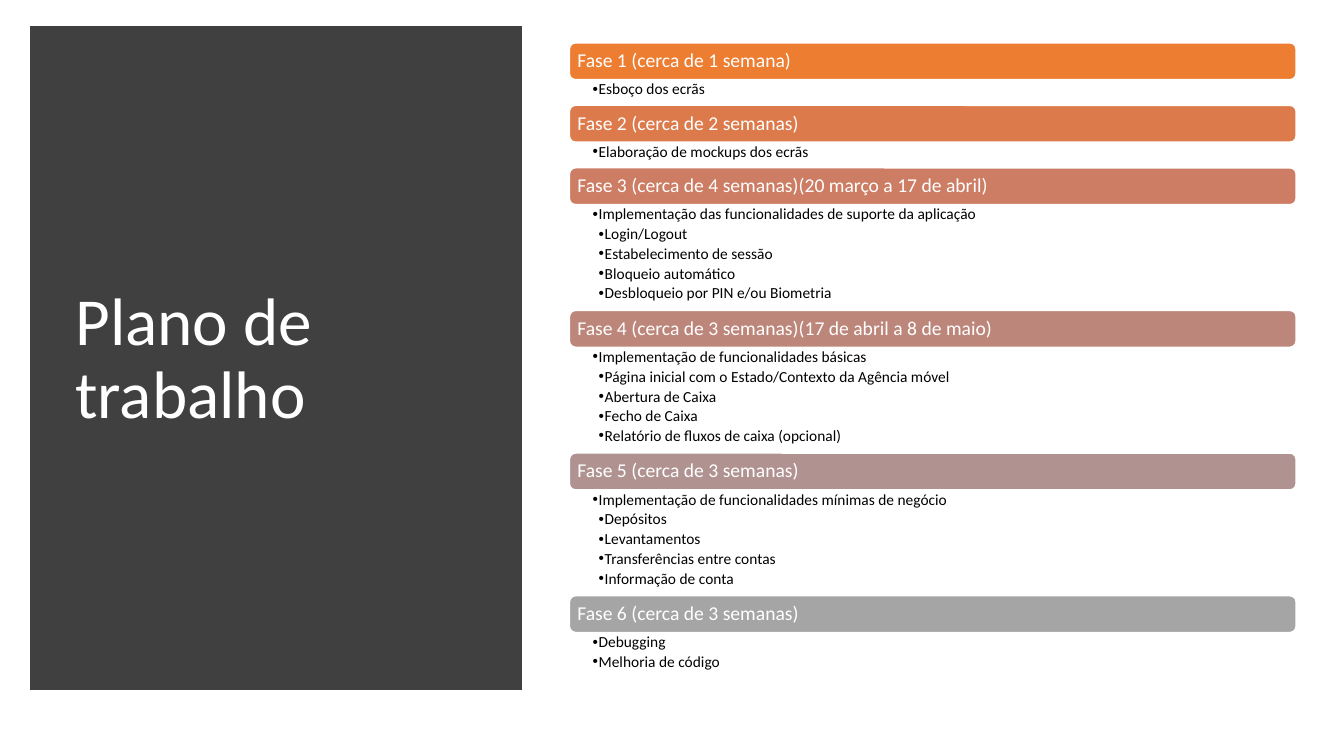
"""Build the work plan slide: a title panel beside six project phases."""
from dataclasses import dataclass

from lxml import etree
from pptx import Presentation
from pptx.dml.color import RGBColor
from pptx.enum.shapes import MSO_SHAPE
from pptx.enum.text import MSO_ANCHOR, PP_ALIGN
from pptx.oxml.ns import qn
from pptx.util import Emu, Pt

RECT, ROUND = MSO_SHAPE.RECTANGLE, MSO_SHAPE.ROUNDED_RECTANGLE
TOP, MIDDLE = MSO_ANCHOR.TOP, MSO_ANCHOR.MIDDLE
LEFT = PP_ALIGN.LEFT
FONT, DOT_FONT = "Calibri", "Arial"
WHITE = RGBColor(0xFF, 0xFF, 0xFF)
BLACK = RGBColor(0x00, 0x00, 0x00)
DARK = RGBColor(0x40, 0x40, 0x40)
PX = 4572
LIST_X, LIST_Y, LIST_W = 1130, 85, 1442
BAR_H = 73
STEP_IN = 12


@dataclass(frozen=True)
class Box:
    left: int
    top: int
    width: int
    height: int

    def emu(self) -> list[Emu]:
        return [px(n) for n in (self.left, self.top, self.width, self.height)]


@dataclass(frozen=True)
class Item:
    text: str
    level: int = 0


@dataclass(frozen=True)
class Phase:
    title: str
    color: RGBColor
    height: int
    items: list[Item]


PHASES = [
    Phase("Fase 1 (cerca de 1 semana)", RGBColor(0xED, 0x7D, 0x31), 51,
          [Item("Esboço dos ecrãs", 1)]),
    Phase("Fase 2 (cerca de 2 semanas)", RGBColor(0xDC, 0x7A, 0x4B), 51,
          [Item("Elaboração de mockups dos ecrãs", 1)]),
    Phase("Fase 3 (cerca de 4 semanas)(20 março a 17 de abril)", RGBColor(0xCC, 0x7D, 0x64), 210,
          [Item("Implementação das funcionalidades de suporte da aplicação", 1),
           Item("Login/Logout", 2),
           Item("Estabelecimento de sessão", 2),
           Item("Bloqueio automático", 2),
           Item("Desbloqueio por PIN e/ou Biometria", 2)]),
    Phase("Fase 4 (cerca de 3 semanas)(17 de abril a 8 de maio)", RGBColor(0xBD, 0x86, 0x7B), 210,
          [Item("Implementação de funcionalidades básicas", 1),
           Item("Página inicial com o Estado/Contexto da Agência móvel", 2),
           Item("Abertura de Caixa", 2),
           Item("Fecho de Caixa", 2),
           Item("Relatório de fluxos de caixa (opcional)", 2)]),
    Phase("Fase 5 (cerca de 3 semanas)", RGBColor(0xB0, 0x93, 0x91), 210,
          [Item("Implementação de funcionalidades mínimas de negócio", 1),
           Item("Depósitos", 2),
           Item("Levantamentos", 2),
           Item("Transferências entre contas", 2),
           Item("Informação de conta", 2)]),
    Phase("Fase 6 (cerca de 3 semanas)", RGBColor(0xA5, 0xA5, 0xA5), 82,
          [Item("Debugging", 1),
           Item("Melhoria de código", 1)]),
]


def px(count: int) -> Emu:
    return Emu(count * PX)


def add_dot(para, level: int) -> None:
    para.level = level
    props = para._p.get_or_add_pPr()
    props.set("marL", str(px(STEP_IN * level)))
    props.set("indent", str(px(-STEP_IN)))
    etree.SubElement(props, qn("a:buFont")).set("typeface", DOT_FONT)
    etree.SubElement(props, qn("a:buChar")).set("char", "•")


def write(shape, items: list[Item], *, size: int, color: RGBColor = WHITE,
          anchor: MSO_ANCHOR = MIDDLE, pad: tuple[int, int, int, int] = (12, 12, 12, 12),
          after: float = 0) -> None:
    frame = shape.text_frame
    frame.word_wrap = True
    frame.vertical_anchor = anchor
    (frame.margin_left, frame.margin_top,
     frame.margin_right, frame.margin_bottom) = map(px, pad)
    for index, item in enumerate(items):
        para = frame.add_paragraph() if index else frame.paragraphs[0]
        para.alignment = LEFT
        para.line_spacing = 0.9
        para.space_after = Pt(after)
        run = para.add_run()
        run.text = item.text
        run.font.name, run.font.size = FONT, Pt(size)
        run.font.color.rgb = color
        if item.level:
            add_dot(para, item.level)


def add_block(slide, kind: MSO_SHAPE, box: Box, fill: RGBColor, line: RGBColor, weight: int):
    shape = slide.shapes.add_shape(kind, *box.emu())
    shape.shadow.inherit = False
    shape.fill.solid()
    shape.fill.fore_color.rgb = fill
    shape.line.color.rgb = line
    shape.line.width = Pt(weight)
    etree.SubElement(shape.line._get_or_add_ln(), qn("a:miter")).set("lim", "800000")
    return shape


def add_phase(slide, phase: Phase, top: int) -> int:
    bar = add_block(slide, ROUND, Box(LIST_X, top, LIST_W, BAR_H), phase.color, WHITE, 1)
    write(bar, [Item(phase.title)], size=14)
    top += BAR_H
    body = slide.shapes.add_textbox(*Box(LIST_X, top, LIST_W, phase.height).emu())
    write(body, phase.items, size=11, color=BLACK, anchor=TOP, pad=(46, 4, 22, 4), after=2.2)
    return top + phase.height


def main() -> None:
    deck = Presentation()
    deck.slide_width, deck.slide_height = px(2667), px(1500)
    slide = deck.slides.add_slide(deck.slide_layouts[6])
    add_block(slide, RECT, Box(74, 66, 948, 1290), DARK, DARK, 10)
    title = slide.shapes.add_textbox(*Box(130, 140, 832, 1150).emu())
    write(title, [Item("Plano de trabalho")], size=48, pad=(20, 10, 20, 10))
    top = LIST_Y
    for phase in PHASES:
        top = add_phase(slide, phase, top)
    deck.save("out.pptx")


if __name__ == "__main__":
    main()
